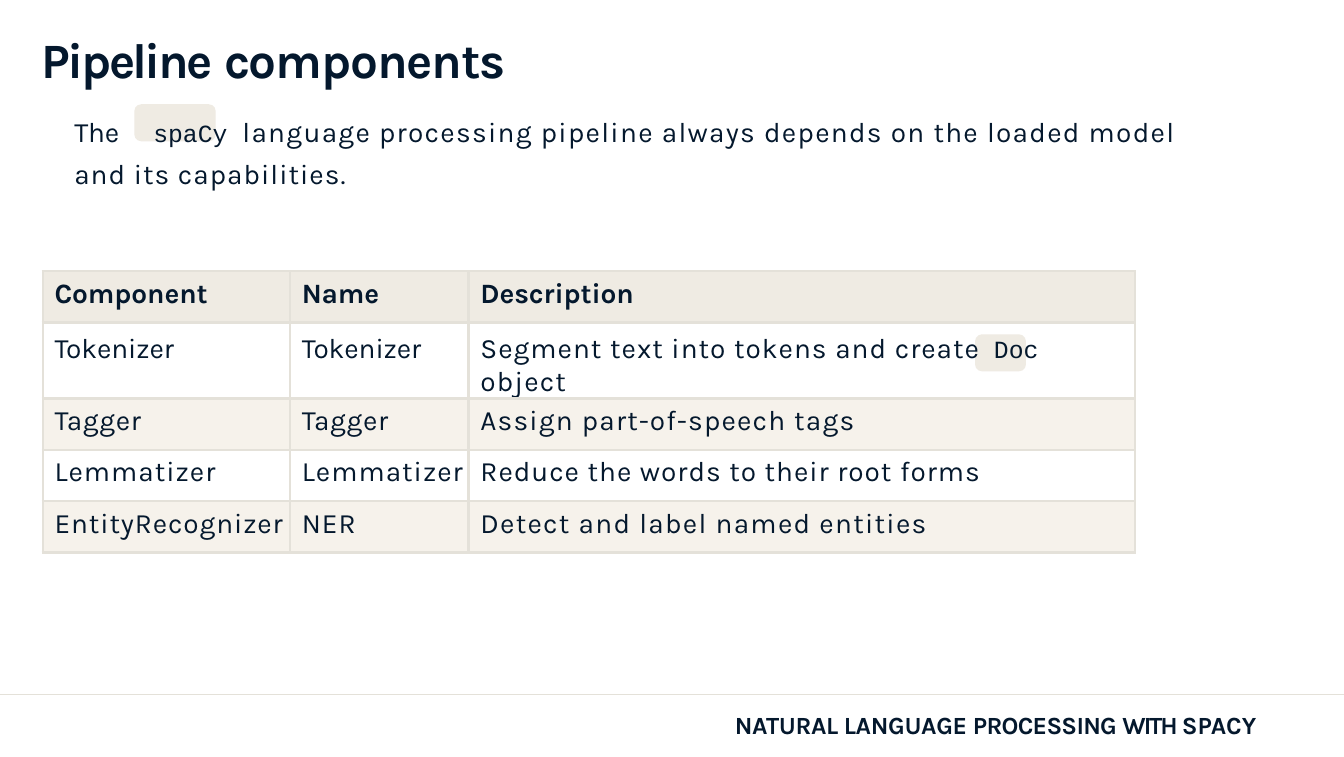
import pptx
import pptx.dml.color
import pptx.enum.shapes
import pptx.enum.text
import pptx.oxml.ns
import pptx.util
from lxml import etree

Pt = pptx.util.Pt
RGBColor = pptx.dml.color.RGBColor
qn = pptx.oxml.ns.qn

INK = RGBColor(0x04, 0x18, 0x2D)
SAND = RGBColor(0xEF, 0xEB, 0xE3)
CREAM = RGBColor(0xF6, 0xF2, 0xEB)
EDGE = RGBColor(0xE4, 0xE1, 0xD9)

WIDTH, HEIGHT = 1224.72, 689.76
COLS = [225.4, 162.7, 607.7]
ROWS = [46.8, 54.7, 46.8, 46.8, 46.8]

CELLS = [
    [[("Component", -0.1)], [("Name", -0.2)], [("Description", -0.1)]],
    [[("Tokenizer", -0.1)], [("Tokenizer", -0.1)],
     [("Segment text into tokens and create\t", 0.91), ("Doc ", None), ("object", 1)]],
    [[("Tagger", 0.6)], [("Tagger", 0.6)], [("Assign part-of-speech tags", 1.08)]],
    [[("Lemmatizer", 0.9)], [("Lemmatizer", 0.9)],
     [("Reduce the words to their root forms", 0.87)]],
    [[("EntityRecognizer", 0.8)], [("NER", 0.9)],
     [("Detect and label named entities", 1.15)]],
]


class Deck:
    font = "Karla"
    mono = "Courier New"
    size = 25.5
    small = 22.5

    def __init__(self):
        self.show = pptx.Presentation()
        self.show.slide_width = Pt(WIDTH)
        self.show.slide_height = Pt(HEIGHT)
        self.slide = self.show.slides.add_slide(self.show.slide_layouts[1])

    def style(self, frame, parts, size=size, bold=False, tab=None):
        line = frame.paragraphs[0]
        line.alignment = pptx.enum.text.PP_ALIGN.LEFT
        for text, gap in parts:
            run = line.add_run()
            run.text = text
            code = gap is None
            run.font.name = self.mono if code else self.font
            run.font.size = Pt(self.small if code else size)
            run.font.bold = bold
            run.font.color.rgb = INK
            run.font._element.set("spc", str(round((gap or 0) * 100)))
        props = line._p.get_or_add_pPr()
        props.set("marL", "0")
        props.set("indent", "0")
        etree.SubElement(props, qn("a:buNone"))
        if tab:
            stops = etree.SubElement(props, qn("a:tabLst"))
            etree.SubElement(stops, qn("a:tab"), pos=str(Pt(tab)), algn="l")
        return line

    def place(self, shape, left, top, width, height):
        shape.left, shape.top = Pt(left), Pt(top)
        shape.width, shape.height = Pt(width), Pt(height)
        frame = shape.text_frame
        frame.margin_left = frame.margin_top = 0
        frame.margin_right = frame.margin_bottom = 0
        frame.word_wrap = True
        frame.auto_size = pptx.enum.text.MSO_AUTO_SIZE.NONE
        frame.vertical_anchor = pptx.enum.text.MSO_ANCHOR.TOP
        return frame

    def title(self, parts, *box):
        self.style(self.place(self.slide.shapes.title, *box), parts, 45, True)

    def body(self, parts, tab, *box):
        frame = self.place(self.slide.placeholders[1], *box)
        self.style(frame, parts, tab=tab).line_spacing = 1.26

    def label(self, parts, *box):
        shape = self.slide.shapes.add_textbox(0, 0, 0, 0)
        self.style(self.place(shape, *box), parts, self.small, True)

    def rule(self, top):
        line = self.slide.shapes.add_connector(
            pptx.enum.shapes.MSO_CONNECTOR.STRAIGHT, 0, Pt(top), Pt(WIDTH), Pt(top))
        line.line.color.rgb = EDGE
        line.line.width = Pt(1.5)
        etree.SubElement(line._element.spPr, qn("a:effectLst"))

    def pill(self, left, top, width, height):
        shape = self.slide.shapes.add_shape(
            pptx.enum.shapes.MSO_SHAPE.ROUNDED_RECTANGLE,
            Pt(left), Pt(top), Pt(width), Pt(height))
        shape.adjustments[0] = 0.19
        shape.shadow.inherit = False
        shape.fill.solid()
        shape.fill.fore_color.rgb = SAND
        shape.line.fill.background()
        self.slide.shapes._spTree.insert(2, shape._element)

    def edge(self, cell):
        props = cell._tc.get_or_add_tcPr()
        for side in "LRTB":
            line = etree.SubElement(props, qn(f"a:ln{side}"), w=str(Pt(2.25)))
            fill = etree.SubElement(line, qn("a:solidFill"))
            etree.SubElement(fill, qn("a:srgbClr"), val=str(EDGE))

    def table(self, rows, left, top, tab):
        grid = self.slide.shapes.add_table(
            len(ROWS), len(COLS), Pt(left), Pt(top), Pt(sum(COLS)), Pt(sum(ROWS))).table
        grid.horz_banding = False
        for col, width in zip(grid.columns, COLS):
            col.width = Pt(width)
        for r, (row, height) in enumerate(zip(rows, ROWS)):
            grid.rows[r].height = Pt(height)
            for c, parts in enumerate(row):
                cell = grid.cell(r, c)
                cell.margin_left = Pt(10.8)
                cell.margin_top = Pt(9.2 if r == 1 else 5.9)
                cell.margin_right = cell.margin_bottom = 0
                self.edge(cell)
                if r % 2:
                    cell.fill.background()
                else:
                    cell.fill.solid()
                    cell.fill.fore_color.rgb = CREAM if r else SAND
                self.style(cell.text_frame, parts, bold=r == 0,
                           tab=tab if len(parts) > 1 else None)


def main():
    deck = Deck()
    deck.rule(632.9)
    deck.title([("Pipeline", -2.4), (" components", -1.1)], 38.2, 26.2, 1079, 56)
    deck.body([("The\t", -0.2), ("spaCy ", None),
               ("language processing pipeline always depends on the loaded model ", 1.15),
               ("and its capabilities.", 0.92)], 87.84, 67.7, 96, 1049, 76)
    deck.pill(122.4, 95, 74.2, 33.8)
    deck.pill(888.5, 304.6, 46.4, 33.8)
    deck.table(CELLS, 38.9, 247, 463)
    deck.label([("NATURAL LANGUAGE ", -0.38), ("PROCESSING ", -0.7),
                ("WITH ", -1.9), ("SPACY", -0.1)], 669.6, 646.6, 530.6, 29.5)
    deck.show.save("out.pptx")


if __name__ == "__main__":
    main()
